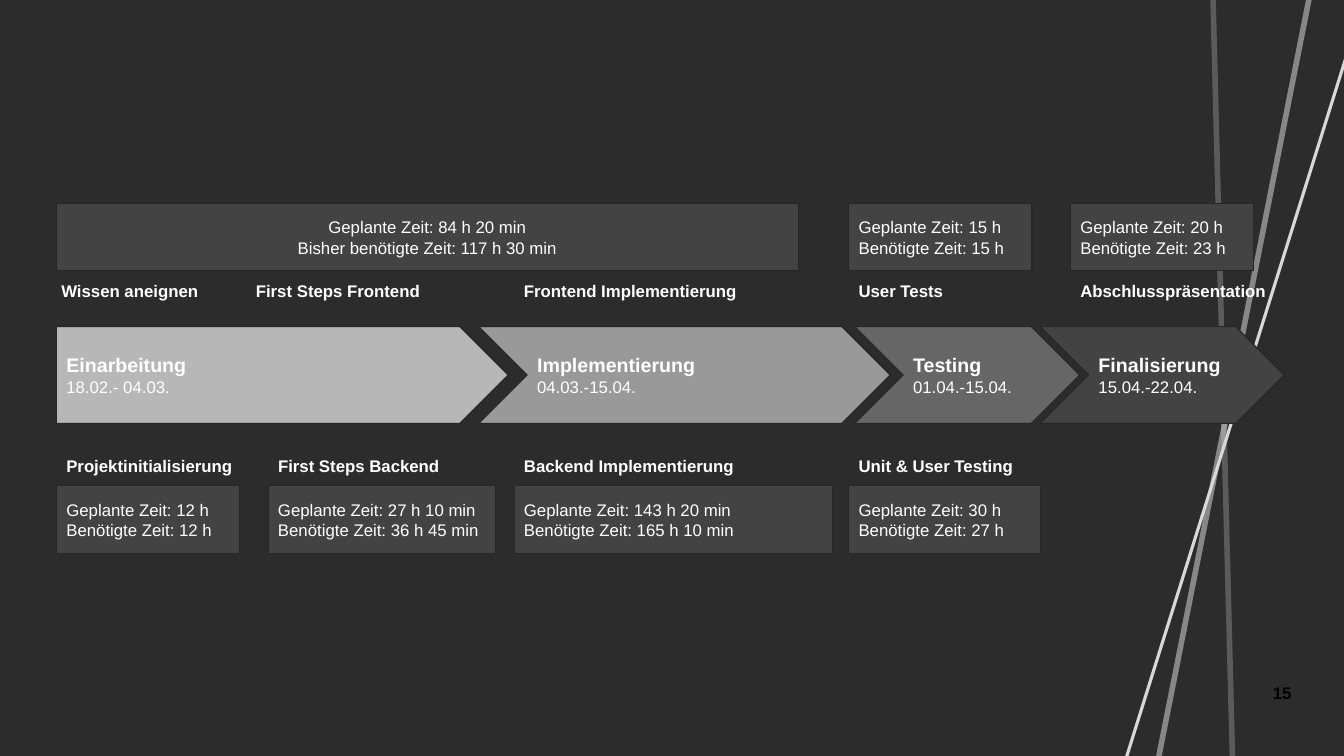
from lxml import etree
from pptx import Presentation
from pptx.dml.color import RGBColor
from pptx.enum import shapes, text
from pptx.oxml import ns
from pptx.util import Pt

BACKGROUND = RGBColor(0x2C, 0x2C, 0x2C)
BEAM = RGBColor(0xD8, 0xD8, 0xD8)
OUTLINE = RGBColor(0x26, 0x26, 0x26)
WHITE = RGBColor(0xFF, 0xFF, 0xFF)
BLACK = RGBColor(0x00, 0x00, 0x00)
DARK = RGBColor(0x43, 0x43, 0x43)
MID = RGBColor(0x66, 0x66, 0x66)
LIGHT = RGBColor(0x99, 0x99, 0x99)
PALE = RGBColor(0xB7, 0xB7, 0xB7)

LEFT, CENTER = text.PP_ALIGN.LEFT, text.PP_ALIGN.CENTER
TOP, MIDDLE = text.MSO_ANCHOR.TOP, text.MSO_ANCHOR.MIDDLE


def write(sp, lines, align=LEFT, anchor=MIDDLE, color=WHITE):
    """Fill a shape with (wording, size, bold) lines."""
    tf = sp.text_frame
    tf.word_wrap = True
    tf.vertical_anchor = anchor
    tf.margin_left = tf.margin_right = tf.margin_top = tf.margin_bottom = Pt(7.2)
    for i, (wording, size, bold) in enumerate(lines):
        p = tf.add_paragraph() if i else tf.paragraphs[0]
        p.alignment = align
        r = p.add_run()
        r.text = wording
        r.font.name = "Arial"
        r.font.size = Pt(size)
        r.font.bold = bold
        r.font.color.rgb = color


def add_block(kind, x, y, w, h, fill):
    sp = slide.shapes.add_shape(kind, Pt(x), Pt(y), Pt(w), Pt(h))
    sp.shadow.inherit = False
    sp.fill.solid()
    sp.fill.fore_color.rgb = fill
    sp.line.color.rgb = OUTLINE
    sp.line.width = Pt(0.75)
    return sp


prs = Presentation()
prs.slide_width, prs.slide_height = Pt(960), Pt(540)
slide = prs.slides.add_slide(prs.slide_layouts[6])
slide.background.fill.solid()
slide.background.fill.fore_color.rgb = BACKGROUND

# Light beams on the right: start, end, width, opacity in percent
for x1, y1, x2, y2, width, opacity in [
    (792.7, 578.9, 966.2, 25.9, 2.25, 100),
    (820.1, 578.9, 939.6, -23.8, 4, 52),
    (881.3, 578.9, 866.2, -11.5, 4, 28),
]:
    beam = slide.shapes.add_connector(
        shapes.MSO_CONNECTOR.STRAIGHT, Pt(x1), Pt(y1), Pt(x2), Pt(y2))
    beam.line.color.rgb = BEAM
    beam.line.width = Pt(width)
    color = beam.line._ln.find(".//" + ns.qn("a:srgbClr"))
    etree.SubElement(color, ns.qn("a:alpha"), val=str(opacity * 1000))
    etree.SubElement(beam._element.spPr, ns.qn("a:effectLst"))

# Slide number
number = slide.shapes.add_textbox(Pt(895.7), Pt(480.2), Pt(40.3), Pt(28.8))
write(number, [("15", 12, True)], CENTER, color=BLACK)

# Phase arrows
PENTAGON, CHEVRON = shapes.MSO_SHAPE.PENTAGON, shapes.MSO_SHAPE.CHEVRON
for kind, x, w, fill, phase, dates in [
    (PENTAGON, 40.3, 322.6, PALE, "Einarbeitung", "18.02.- 04.03."),
    (CHEVRON, 342, 293.8, LIGHT, "Implementierung", "04.03.-15.04."),
    (CHEVRON, 610.6, 160.6, MID, "Testing", "01.04.-15.04."),
    (CHEVRON, 743, 174.2, DARK, "Finalisierung", "15.04.-22.04."),
]:
    arrow = add_block(kind, x, 233.3, w, 69.1, fill)
    write(arrow, [(phase, 14, True), (dates, 12, False)])

# Time boxes above and below the arrows
COL1, COL2, COL3, COL4, COL5 = 40.3, 191.5, 367.2, 606.2, 764.6
UPPER_BOX, UPPER_LABEL, LOWER_LABEL, LOWER_BOX = 145.4, 193.7, 318.2, 347
for x, y, w, align, planned, needed in [
    (COL1, UPPER_BOX, 529.9, CENTER,
     "Geplante Zeit: 84 h 20 min", "Bisher benötigte Zeit: 117 h 30 min"),
    (COL4, UPPER_BOX, 131, LEFT, "Geplante Zeit: 15 h", "Benötigte Zeit: 15 h"),
    (COL5, UPPER_BOX, 131, LEFT, "Geplante Zeit: 20 h", "Benötigte Zeit: 23 h"),
    (COL1, LOWER_BOX, 131, LEFT, "Geplante Zeit: 12 h", "Benötigte Zeit: 12 h"),
    (COL2, LOWER_BOX, 162.7, LEFT,
     "Geplante Zeit: 27 h 10 min", "Benötigte Zeit: 36 h 45 min"),
    (COL3, LOWER_BOX, 227.5, LEFT,
     "Geplante Zeit: 143 h 20 min", "Benötigte Zeit: 165 h 10 min"),
    (COL4, LOWER_BOX, 136.8, LEFT, "Geplante Zeit: 30 h", "Benötigte Zeit: 27 h"),
]:
    box = add_block(shapes.MSO_SHAPE.RECTANGLE, x, y, w, 48.2, DARK)
    write(box, [(planned, 12, False), (needed, 12, False)], align)

# Task labels
for x, y, w, task in [
    (36.7, UPPER_LABEL, 131, "Wissen aneignen"),
    (175.7, UPPER_LABEL, 139, "First Steps Frontend"),
    (COL3, UPPER_LABEL, 168.5, "Frontend Implementierung"),
    (COL4, UPPER_LABEL, 154.1, "User Tests"),
    (COL5, UPPER_LABEL, 154.1, "Abschlusspräsentation"),
    (COL1, LOWER_LABEL, 139, "Projektinitialisierung"),
    (COL2, LOWER_LABEL, 131, "First Steps Backend"),
    (COL3, LOWER_LABEL, 187.9, "Backend Implementierung"),
    (COL4, LOWER_LABEL, 136.8, "Unit & User Testing"),
]:
    label = slide.shapes.add_textbox(Pt(x), Pt(y), Pt(w), Pt(28.8))
    write(label, [(task, 12, True)], anchor=TOP)
    label.text_frame.auto_size = text.MSO_AUTO_SIZE.SHAPE_TO_FIT_TEXT

prs.save("out.pptx")
